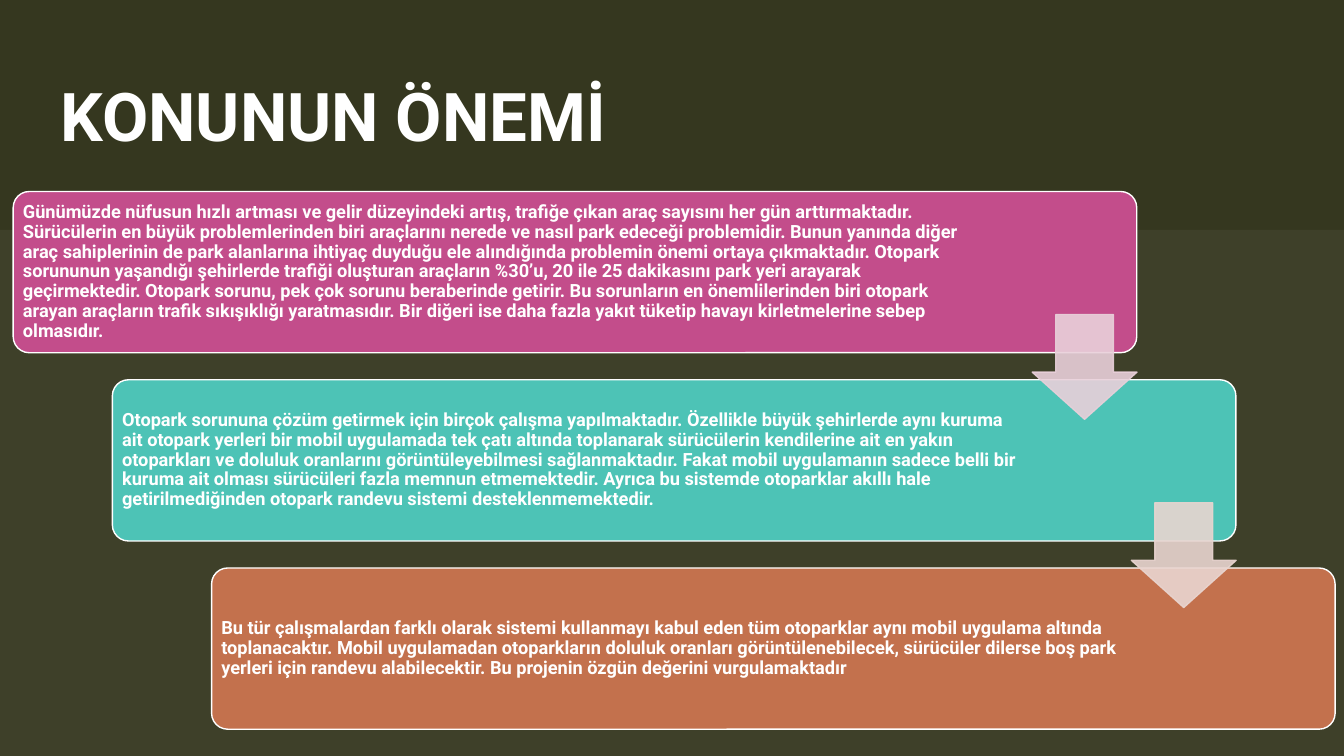
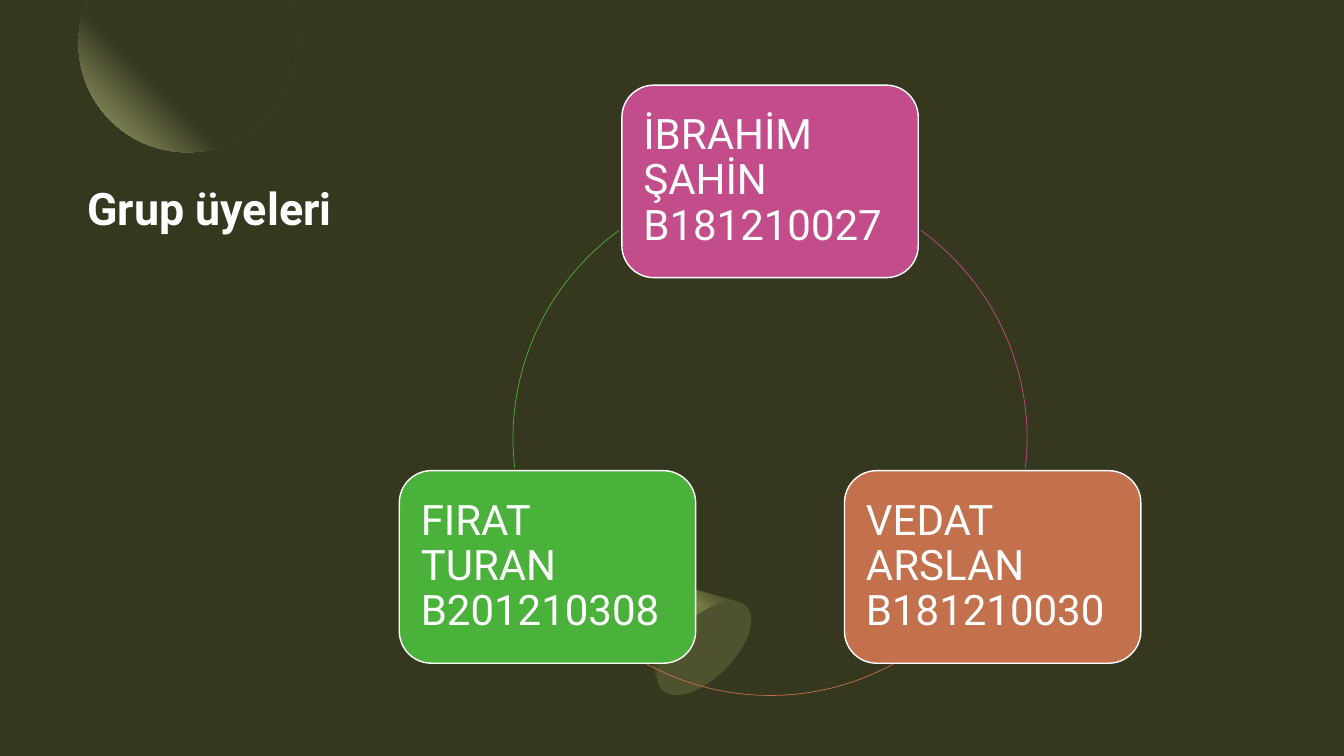
from dataclasses import dataclass
from math import asin, cos, degrees, radians, sin
from typing import NamedTuple

from lxml.etree import SubElement
from pptx import Presentation
from pptx.dml.color import RGBColor
from pptx.enum.shapes import MSO_SHAPE
from pptx.enum.text import MSO_ANCHOR, PP_ALIGN
from pptx.oxml.ns import qn
from pptx.util import Emu, Inches, Pt

WIDTH, HEIGHT = Inches(40 / 3), Inches(7.5)
ASPECT = HEIGHT / WIDTH
FONT = "Roboto"

OLIVE = RGBColor(0x35, 0x37, 0x1F)
MOSS = RGBColor(0x4F, 0x52, 0x2E)
FERN = RGBColor(0x76, 0x7B, 0x45)
SAGE = RGBColor(0xAE, 0xB3, 0x77)
MIST = RGBColor(0xEF, 0xF0, 0xE4)
WHITE = RGBColor(0xFF, 0xFF, 0xFF)
PINK = RGBColor(0xC3, 0x4D, 0x8B)
TEAL = RGBColor(0x4D, 0xC3, 0xB6)
COPPER = RGBColor(0xC3, 0x71, 0x4D)
GREEN = RGBColor(0x4A, 0xB1, 0x3B)
PALE_PINK = RGBColor(0xE9, 0xD0, 0xDA)
PALE_COPPER = RGBColor(0xE9, 0xD5, 0xD0)


class Area(NamedTuple):
    """A rectangle in percent of the slide's width and height."""
    left: float
    top: float
    width: float
    height: float

    def emu(self):
        return (across(self.left), down(self.top), across(self.width), down(self.height))

    def moved(self, columns, rows):
        return self._replace(left=self.left + columns, top=self.top + rows)


@dataclass(frozen=True)
class Step:
    text: str
    color: RGBColor
    right_margin: float


@dataclass(frozen=True)
class Member:
    text: str
    color: RGBColor
    angle: float
    arc_start: float
    arc_end: float


STEPS = (
    Step("Günümüzde nüfusun hızlı artması ve gelir düzeyindeki artış, trafiğe çıkan araç "
         "sayısını her gün arttırmaktadır. Sürücülerin en büyük problemlerinden biri "
         "araçlarını nerede ve nasıl park edeceği problemidir. Bunun yanında diğer araç "
         "sahiplerinin de park alanlarına ihtiyaç duyduğu ele alındığında problemin önemi "
         "ortaya çıkmaktadır. Otopark sorununun yaşandığı şehirlerde trafiği oluşturan "
         "araçların %30’u, 20 ile 25 dakikasını park yeri arayarak geçirmektedir. Otopark "
         "sorunu, pek çok sorunu beraberinde getirir. Bu sorunların en önemlilerinden biri "
         "otopark arayan araçların trafik sıkışıklığı yaratmasıdır. Bir diğeri ise daha "
         "fazla yakıt tüketip havayı kirletmelerine sebep olmasıdır.", PINK, 1.68),
    Step("Otopark sorununa çözüm getirmek için birçok çalışma yapılmaktadır. Özellikle büyük "
         "şehirlerde aynı kuruma ait otopark yerleri bir mobil uygulamada tek çatı altında "
         "toplanarak sürücülerin kendilerine ait en yakın otoparkları ve doluluk oranlarını "
         "görüntüleyebilmesi sağlanmaktadır. Fakat mobil uygulamanın sadece belli bir kuruma "
         "ait olması sürücüleri fazla memnun etmemektedir. Ayrıca bu sistemde otoparklar "
         "akıllı hale getirilmediğinden otopark randevu sistemi desteklenmemektedir.",
         TEAL, 2.07),
    Step("Bu tür çalışmalardan farklı olarak sistemi kullanmayı kabul eden tüm otoparklar aynı "
         "mobil uygulama altında toplanacaktır. Mobil uygulamadan otoparkların doluluk "
         "oranları görüntülenebilecek, sürücüler dilerse boş park yerleri için randevu "
         "alabilecektir. Bu projenin özgün değerini vurgulamaktadır", COPPER, 2.07),
)
FIRST_CARD = Area(0.98, 25.33, 83.6, 21.33)
FIRST_ARROW = Area(76.8, 41.6, 7.8, 13.87)
STEP_COLUMNS, STEP_ROWS = 7.38, 24.9

MEMBERS = (
    Member("İBRAHİM ŞAHİN B181210027", PINK, 270, 306, 6.5),
    Member("VEDAT ARSLAN B181210030", COPPER, 30, 61.4, 118.6),
    Member("FIRAT TURAN B201210308", GREEN, 150, 173.5, 234),
)
RING_X, RING_Y, RING_RADIUS = 57.3, 58, 34
MOON_X, MOON_Y, MOON_RADIUS = 13.95, 5.73, 14.4


def across(percent: float) -> Emu:
    return Emu(round(WIDTH * percent / 100))


def down(percent: float) -> Emu:
    return Emu(round(HEIGHT * percent / 100))


def centered(x: float, y: float, width: float, height: float) -> Area:
    return Area(x - width / 2, y - height / 2, width, height)


def on_circle(x: float, y: float, radius: float, angle: float) -> tuple[float, float]:
    """Point at a clockwise angle; the radius is a share of the slide's height."""
    turn = radians(angle)
    return x + radius * ASPECT * cos(turn), y + radius * sin(turn)


def add_page(deck):
    page = deck.slides.add_slide(deck.slide_layouts[6])
    page.background.fill.solid()
    page.background.fill.fore_color.rgb = OLIVE
    return page


def set_opacity(shape, percent: int) -> None:
    for color in shape._element.spPr.iter(qn("a:srgbClr")):
        SubElement(color, qn("a:alpha"), val=str(percent * 1000))


def set_gradient(shape, stops, angle: float | None = None) -> None:
    """Linear at the given angle, otherwise circular from the top right corner."""
    shape.fill.gradient()
    gradient = shape._element.spPr.find(qn("a:gradFill"))
    gradient.clear()
    gradient.set("rotWithShape", "1")
    stop_list = SubElement(gradient, qn("a:gsLst"))
    for position, color in stops:
        stop = SubElement(stop_list, qn("a:gs"), pos=str(position * 1000))
        SubElement(stop, qn("a:srgbClr"), val=str(color))
    if angle is None:
        circle = SubElement(gradient, qn("a:path"))
        circle.set("path", "circle")
        SubElement(circle, qn("a:fillToRect"), l="100000", b="100000")
    else:
        SubElement(gradient, qn("a:lin"), ang=str(round(angle * 60000)), scaled="0")


def add_preset(page, preset, area: Area, *, fill: RGBColor | None = None,
               line: RGBColor | None = None, line_width: float = 1,
               adjustments: tuple = (), rotation: float = 0):
    shape = page.shapes.add_shape(preset, *area.emu())
    shape.shadow.inherit = False
    shape.rotation = rotation
    for index, value in enumerate(adjustments):
        shape.adjustments[index] = value
    if fill is None:
        shape.fill.background()
    else:
        shape.fill.solid()
        shape.fill.fore_color.rgb = fill
    if line is None:
        shape.line.fill.background()
    else:
        shape.line.color.rgb = line
        shape.line.width = Pt(line_width)
    return shape


def write(box, text: str, *, size: float, bold: bool = False, margin: float = 0,
          right_margin: float | None = None, spacing: float = 0.9) -> None:
    frame = box.text_frame
    frame.word_wrap = True
    frame.vertical_anchor = MSO_ANCHOR.MIDDLE
    frame.margin_left = frame.margin_top = frame.margin_bottom = Inches(margin)
    frame.margin_right = Inches(margin if right_margin is None else right_margin)
    para = frame.paragraphs[0]
    para.alignment = PP_ALIGN.LEFT
    para.line_spacing = spacing
    span = para.add_run()
    span.text = text
    span.font.name, span.font.size, span.font.bold = FONT, Pt(size), bold
    span.font.color.rgb = WHITE


def add_title(page, text: str, area: Area, size: float, spacing: float) -> None:
    box = page.shapes.add_textbox(*area.emu())
    write(box, text, size=size, bold=True, spacing=spacing)


def add_moon(page) -> None:
    """Disc cut off by the top edge of the slide."""
    edge = degrees(asin(MOON_Y / MOON_RADIUS))
    sweep, count = 180 + 2 * edge, 90
    points = []
    for index in range(count + 1):
        x, y = on_circle(MOON_X, MOON_Y, MOON_RADIUS, sweep * index / count - edge)
        points.append((across(x), down(y)))
    builder = page.shapes.build_freeform(*points[0])
    builder.add_line_segments(points[1:])
    moon = builder.convert_to_shape()
    moon.shadow.inherit = False
    moon.line.fill.background()
    set_gradient(moon, ((60, OLIVE), (100, SAGE)))


def add_cone(page) -> None:
    side = add_preset(page, MSO_SHAPE.ISOSCELES_TRIANGLE,
                      centered(49.35, 80.27, 8.6, 13.6), rotation=315)
    set_gradient(side, ((30, MOSS), (40, FERN), (60, MOSS), (100, OLIVE)), 170)
    add_preset(page, MSO_SHAPE.OVAL, centered(52.4, 85.73, 4.43, 15.73),
               fill=MOSS, rotation=45)


def add_importance_page(deck) -> None:
    page = add_page(deck)
    add_title(page, "KONUNUN ÖNEMİ", Area(4.5, 8, 59.93, 14.4), 48, 1)
    band = add_preset(page, MSO_SHAPE.RECTANGLE, Area(0, 30.4, 100, 69.6), fill=MIST)
    set_opacity(band, 5)
    for index, step in enumerate(STEPS):
        area = FIRST_CARD.moved(index * STEP_COLUMNS, index * STEP_ROWS)
        card = add_preset(page, MSO_SHAPE.ROUNDED_RECTANGLE, area, fill=step.color,
                          line=WHITE, adjustments=(0.1,))
        write(card, step.text, size=13, bold=True, margin=0.05,
              right_margin=step.right_margin)
    for index, color in enumerate((PALE_PINK, PALE_COPPER)):
        area = FIRST_ARROW.moved(index * STEP_COLUMNS, index * STEP_ROWS)
        arrow = add_preset(page, MSO_SHAPE.DOWN_ARROW, area, fill=color, line=color,
                           adjustments=(0.55, 0.45))
        set_opacity(arrow, 90)


def add_members_page(deck) -> None:
    page = add_page(deck)
    add_title(page, "Grup üyeleri", Area(6.5, 18, 27.1, 19.9), 32, 0.9)
    add_moon(page)
    add_cone(page)
    ring = centered(RING_X, RING_Y, 2 * RING_RADIUS * ASPECT, 2 * RING_RADIUS)
    for member in MEMBERS:
        x, y = on_circle(RING_X, RING_Y, RING_RADIUS, member.angle)
        card = add_preset(page, MSO_SHAPE.ROUNDED_RECTANGLE, centered(x, y, 22.05, 25.47),
                          fill=member.color, line=WHITE)
        write(card, member.text, size=30, margin=0.12)
        # Arc angles are stored in 60000ths of a degree, adjustments in 100000ths.
        add_preset(page, MSO_SHAPE.ARC, ring, line=member.color, line_width=0.5,
                   adjustments=(member.arc_start * 0.6, member.arc_end * 0.6))


def main() -> None:
    deck = Presentation()
    deck.slide_width, deck.slide_height = WIDTH, HEIGHT
    add_importance_page(deck)
    add_members_page(deck)
    deck.save("out.pptx")


if __name__ == "__main__":
    main()
